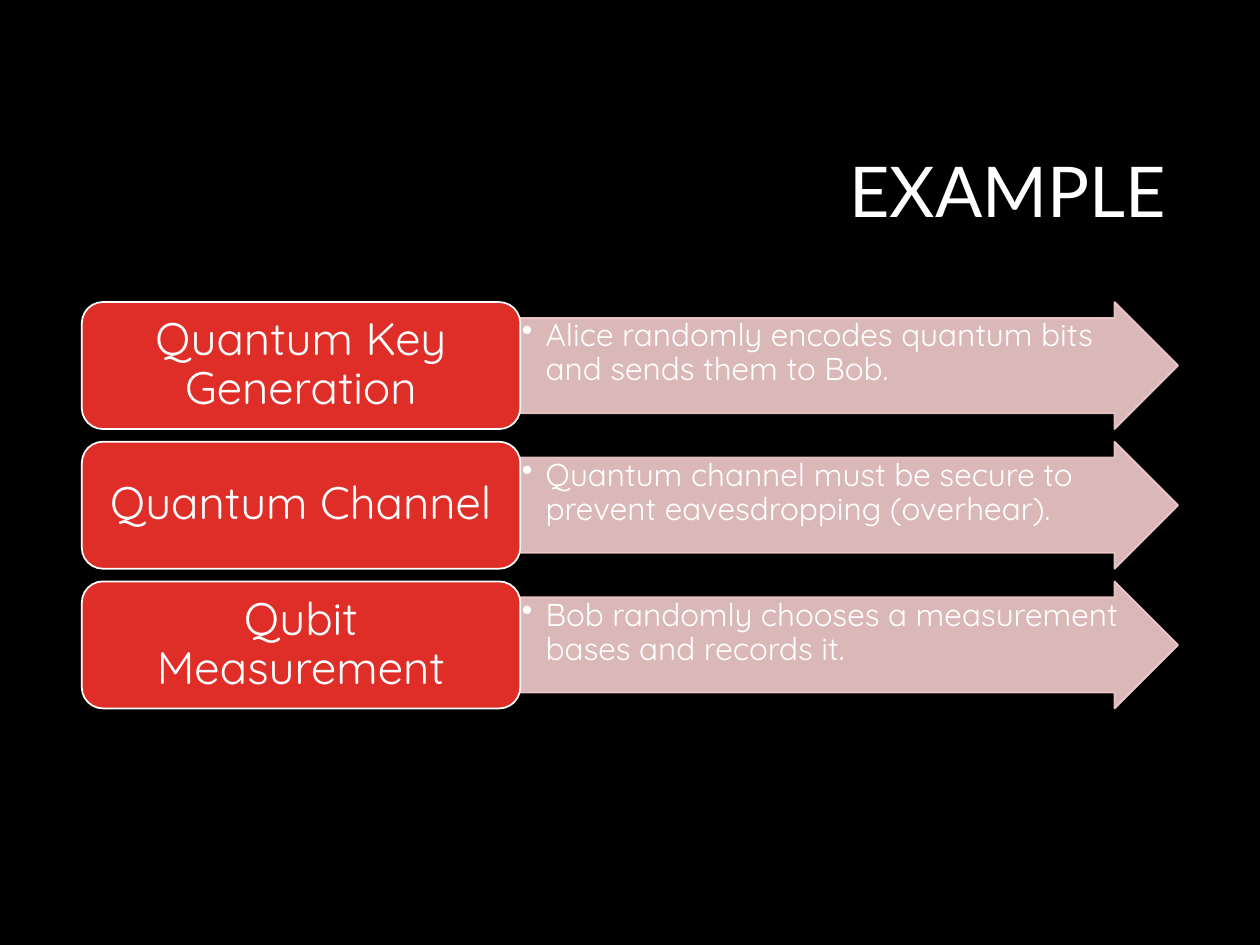
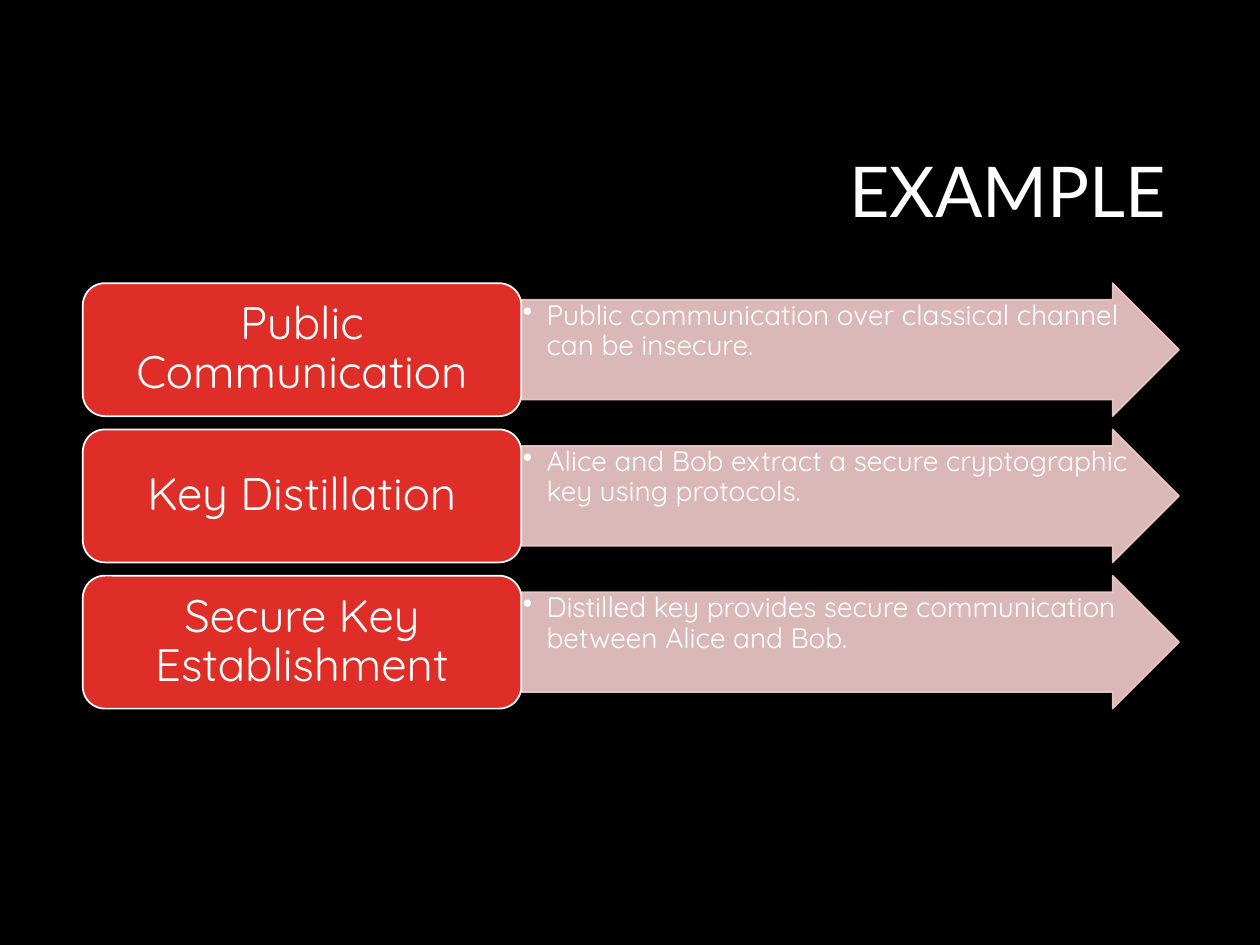
from lxml import etree
from pptx import Presentation
from pptx.dml.color import RGBColor
from pptx.enum.shapes import MSO_SHAPE
from pptx.enum.text import MSO_ANCHOR, PP_ALIGN
from pptx.oxml.ns import qn
from pptx.util import Cm, Pt

BLACK = RGBColor(0x00, 0x00, 0x00)
WHITE = RGBColor(0xFF, 0xFF, 0xFF)
RED = RGBColor(0xDF, 0x2E, 0x28)
PINK = RGBColor(0xF3, 0xCD, 0xCD)
ROUNDED, ARROW = MSO_SHAPE.ROUNDED_RECTANGLE, MSO_SHAPE.RIGHT_ARROW
TOP, MIDDLE = MSO_ANCHOR.TOP, MSO_ANCHOR.MIDDLE
LEFT, CENTER, RIGHT = PP_ALIGN.LEFT, PP_ALIGN.CENTER, PP_ALIGN.RIGHT

STEP_WIDTH = 8.84
ARROW_WIDTH = 1.5 * STEP_WIDTH
PITCH_RATIO = 1.1

SLIDES = [
    {
        "left": 1.65, "top": 6.09, "height": 2.56, "detail_size": 18,
        "steps": [
            ("Quantum Key Generation",
             "Alice randomly encodes quantum bits and sends them to Bob."),
            ("Quantum Channel",
             "Quantum channel must be secure to prevent eavesdropping (overhear)."),
            ("Qubit Measurement",
             "Bob randomly chooses a measurement bases and records it."),
        ],
    },
    {
        "left": 1.67, "top": 5.71, "height": 2.68, "detail_size": 16,
        "steps": [
            ("Public Communication",
             "Public communication over classical channel can be insecure."),
            ("Key Distillation",
             "Alice and Bob extract a secure cryptographic key using protocols."),
            ("Secure Key Establishment",
             "Distilled key provides secure communication between Alice and Bob."),
        ],
    },
]


def write_text(shape, text, size, font="Quicksand", align=LEFT, anchor=MIDDLE,
               margins=(0.25, 0.13), space_after=0, bullet=False):
    frame = shape.text_frame
    frame.word_wrap = True
    frame.vertical_anchor = anchor
    frame.margin_left = frame.margin_right = Cm(margins[0])
    frame.margin_top = frame.margin_bottom = Cm(margins[1])
    para = frame.paragraphs[0]
    para.alignment = align
    para.line_spacing = 0.9
    para.space_after = Pt(space_after)
    if bullet:
        properties = para._p.get_or_add_pPr()
        properties.set("marL", str(Cm(0.48)))
        properties.set("indent", str(-Cm(0.48)))
        etree.SubElement(properties, qn("a:buChar"), char="•")
    span = para.add_run()
    span.text = text
    span.font.name = font
    span.font.size = Pt(size)
    span.font.color.rgb = WHITE


def add_block(page, kind, left, top, width, height, fill, line, opacity=100):
    block = page.shapes.add_shape(kind, Cm(left), Cm(top), Cm(width), Cm(height))
    block.shadow.inherit = False
    block.fill.solid()
    block.fill.fore_color.rgb = fill
    block.line.color.rgb = line
    block.line.width = Pt(1)
    if opacity < 100:
        for color in block._element.spPr.iter(qn("a:srgbClr")):
            etree.SubElement(color, qn("a:alpha"), val=str(opacity * 1000))
    return block


deck = Presentation()
deck.slide_width, deck.slide_height = Cm(25.4), Cm(19.05)
blank_layout = deck.slide_layouts[6]

for content in SLIDES:
    page = deck.slides.add_slide(blank_layout)
    page.background.fill.solid()
    page.background.fill.fore_color.rgb = BLACK

    title = page.shapes.add_textbox(Cm(6.05), Cm(2.13), Cm(17.7), Cm(3.58))
    write_text(title, "EXAMPLE", 40, font="Lato", align=RIGHT)

    left, height = content["left"], content["height"]
    for row, (step, detail) in enumerate(content["steps"]):
        top = content["top"] + row * height * PITCH_RATIO

        arrow = add_block(page, ARROW, left + STEP_WIDTH, top, ARROW_WIDTH, height,
                          PINK, PINK, opacity=90)
        arrow.adjustments[0], arrow.adjustments[1] = 0.75, 0.5
        write_text(arrow, detail, content["detail_size"], anchor=TOP,
                   margins=(0.03, 0.03), space_after=2.5, bullet=True)

        box = add_block(page, ROUNDED, left, top, STEP_WIDTH, height, RED, WHITE)
        write_text(box, step, 26, align=CENTER, margins=(0.28, 0.13), space_after=9)

deck.save("out.pptx")
